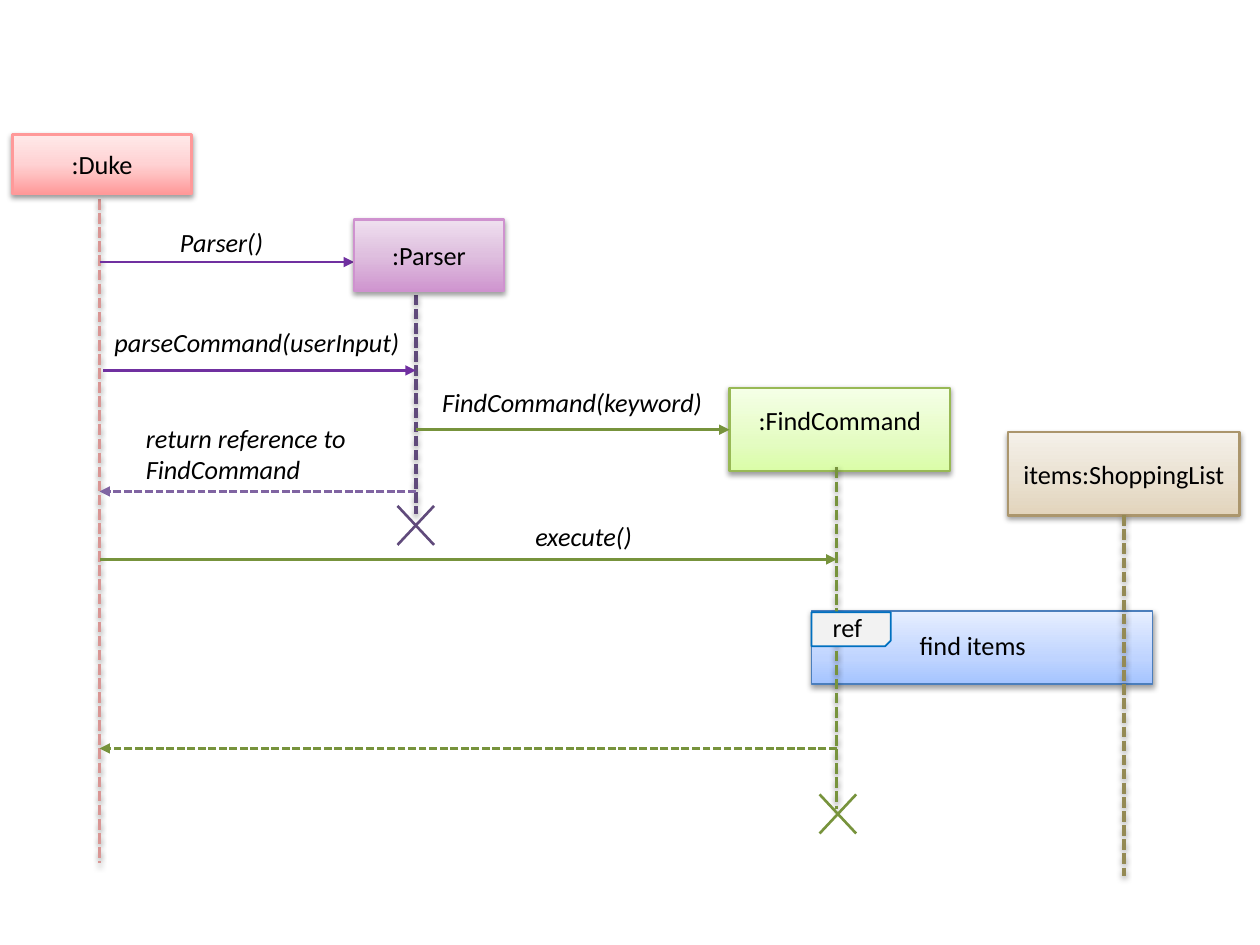
"""Build a sequence diagram slide of the find command."""
from lxml.etree import SubElement
from pptx import Presentation
from pptx.dml.color import RGBColor
from pptx.enum.dml import MSO_LINE
from pptx.enum.shapes import MSO_CONNECTOR, MSO_SHAPE as SHAPE
from pptx.enum.text import MSO_ANCHOR as ANCHOR, PP_ALIGN as ALIGN
from pptx.oxml.ns import qn
from pptx.util import Inches, Pt

COLORS = {
    "text": "000000", "duke": "FF9999", "duke_life": "D99694",
    "parser": "CF92CF", "parser_life": "604A7B", "parse": "7030A0",
    "return": "8064A2", "find": "98B955", "find_life": "77933C",
    "list": "AB966D", "list_life": "948A54",
    "frame": "4B7EBC", "tag": "F2F2F2", "tag_line": "0070C0",
}
GRADIENTS = {
    "duke": [(0, "FF9999"), (50, "FFD2D3"), (100, "FFE9E9")],
    "parser": [(0, "CF95CF"), (50, "DFBFDF"), (100, "EFE0EF")],
    "find": [(0, "DAFDA7"), (35, "E4FCC2"), (100, "F5FFE7")],
    "list": [(0, "E2D4BC"), (50, "EBE3D4"), (100, "F5F1EA")],
    "frame": [(0, "A4C4FF"), (35, "BFD4FF"), (100, "E6EEFF")],
}
DUKE_X, PARSER_X, FIND_X, LIST_X = 0.79, 3.3, 6.64, 8.92


def rgb(name):
    """Return the named colour."""
    return RGBColor.from_string(COLORS[name])


def set_effects(s, shadow):
    """Give a shape or connector a soft shadow, or none."""
    effects = SubElement(s._element.spPr, qn("a:effectLst"))
    if shadow:
        outer = SubElement(effects, qn("a:outerShdw"), blurRad="40000",
                           dist="20000", dir="5400000", rotWithShape="0")
        color = SubElement(outer, qn("a:srgbClr"), val="000000")
        SubElement(color, qn("a:alpha"), val="38000")


def set_gradient(s, stops):
    """Fill a shape with stops that run from bottom to top."""
    s.fill.gradient()
    s.fill.gradient_angle = 90
    stop_list = s._element.spPr.find(".//" + qn("a:gsLst"))
    for old in list(stop_list):
        stop_list.remove(old)
    for position, color in stops:
        stop = SubElement(stop_list, qn("a:gs"), pos=str(position * 1000))
        SubElement(stop, qn("a:srgbClr"), val=color)


def write(s, text, align=ALIGN.LEFT, italic=False, **frame):
    """Write one paragraph in a shape."""
    tf = s.text_frame
    for key, value in {"word_wrap": True, **frame}.items():
        setattr(tf, key, value)
    p = tf.paragraphs[0]
    p.alignment = align
    r = p.add_run()
    r.text = text
    for key, value in {"name": "Calibri", "size": Pt(15), "italic": italic}.items():
        setattr(r.font, key, value)
    r.font.color.rgb = rgb("text")


def add_box(slide, name, at, text="", weight=1.5, **frame):
    """Add a shaded rectangle with a centred name."""
    s = slide.shapes.add_shape(SHAPE.RECTANGLE, *map(Inches, at))
    set_gradient(s, GRADIENTS[name])
    s.line.color.rgb = rgb(name)
    s.line.width = Pt(weight)
    set_effects(s, True)
    if text:
        write(s, text, ALIGN.CENTER, **{"vertical_anchor": ANCHOR.MIDDLE, **frame})
    return s


def add_line(slide, start, end, color, weight=1.5, dashed=False, arrow=False,
             shadow=False, begin=None, finish=None):
    """Add a straight line, joined to shapes where given."""
    s = slide.shapes.add_connector(MSO_CONNECTOR.STRAIGHT,
                                   *map(Inches, (*start, *end)))
    if begin:
        s.begin_connect(*begin)
    if finish:
        s.end_connect(*finish)
    s.line.color.rgb = rgb(color)
    s.line.width = Pt(weight)
    if dashed:
        s.line.dash_style = MSO_LINE.SQUARE_DOT
    if arrow:
        SubElement(s.line._get_or_add_ln(), qn("a:tailEnd"), type="triangle")
    set_effects(s, shadow)


def add_lifeline(slide, x, top, bottom, color, begin=None):
    """Add a dashed vertical lifeline."""
    add_line(slide, (x, top), (x, bottom), color, 2, True, shadow=True, begin=begin)


def add_message(slide, x1, x2, y, color, dashed=False, finish=None):
    """Add a horizontal message arrow."""
    add_line(slide, (x1, y), (x2, y), color, dashed=dashed, arrow=True, finish=finish)


def add_cross(slide, x, y, color):
    """Mark the end of a lifeline with a cross."""
    dx, dy = 0.145, 0.155
    for side in (1, -1):
        add_line(slide, (x + side * dx, y + dy), (x - side * dx, y - dy), color)


def add_label(slide, at, text, **style):
    """Add a text box."""
    write(slide.shapes.add_textbox(*map(Inches, at)), text, **style)


def add_reference_tag(slide):
    """Add the ref tag and the caption of the reference frame."""
    s = slide.shapes.add_shape(SHAPE.SNIP_1_RECTANGLE,
                               *map(Inches, (6.44, 4.86, 0.63, 0.27)))
    s._element.spPr.find(qn("a:xfrm")).set("flipV", "1")
    s.fill.solid()
    s.fill.fore_color.rgb = rgb("tag")
    s.line.color.rgb = rgb("tag_line")
    s.line.width = Pt(1)
    s.shadow.inherit = False
    for at, text in (((6.51, 4.77, 3.49, 0.42), "ref"),
                     ((7.2, 4.91, 1.05, 0.42), "find items")):
        add_label(slide, at, text, vertical_anchor=ANCHOR.MIDDLE)


def main():
    """Draw the diagram from back to front."""
    prs = Presentation()
    prs.slide_width, prs.slide_height = Inches(10), Inches(7.5)
    slide = prs.slides.add_slide(prs.slide_layouts[6])

    add_box(slide, "frame", (6.44, 4.85, 2.71, 0.58), weight=0.75)
    add_lifeline(slide, DUKE_X, 1.58, 6.85, "duke_life")
    find = add_box(slide, "find", (5.79, 3.08, 1.75, 0.66), ":FindCommand",
                   vertical_anchor=ANCHOR.TOP, margin_top=Inches(0.13))
    add_lifeline(slide, PARSER_X, 2.34, 4.08, "parser_life")
    add_lifeline(slide, FIND_X, 3.71, 6.42, "find_life")

    add_message(slide, DUKE_X, 2.81, 2.08, "parse")
    add_message(slide, 0.82, PARSER_X, 2.94, "parse")
    add_message(slide, PARSER_X, 5.79, 3.41, "find_life", finish=(find, 1))
    add_message(slide, PARSER_X, DUKE_X, 3.9, "return", dashed=True)
    add_message(slide, DUKE_X, FIND_X, 4.44, "find_life")
    add_message(slide, FIND_X, DUKE_X, 5.94, "find_life", dashed=True)
    for at, text in (
        ((1.33, 1.75, 1.29, 0.35), "Parser()"),
        ((0.81, 2.54, 2.73, 0.35), "parseCommand(userInput)"),
        ((3.41, 3.02, 2.28, 0.35), "FindCommand(keyword)"),
        ((1.06, 3.3, 1.87, 0.61), "return reference to FindCommand"),
        ((4.15, 4.08, 0.97, 0.35), "execute()"),
    ):
        add_label(slide, at, text, italic=True)

    add_cross(slide, PARSER_X, 4.17, "parser_life")
    add_cross(slide, 6.65, 6.46, "find_life")
    add_box(slide, "duke", (0.1, 1.07, 1.42, 0.47), ":Duke")
    add_box(slide, "parser", (2.81, 1.74, 1.19, 0.57), ":Parser")
    items = add_box(slide, "list", (8, 3.43, 1.84, 0.66), "items:ShoppingList")
    add_lifeline(slide, LIST_X, 4.09, 6.95, "list_life", begin=(items, 2))
    add_reference_tag(slide)
    prs.save("out.pptx")


if __name__ == "__main__":
    main()
